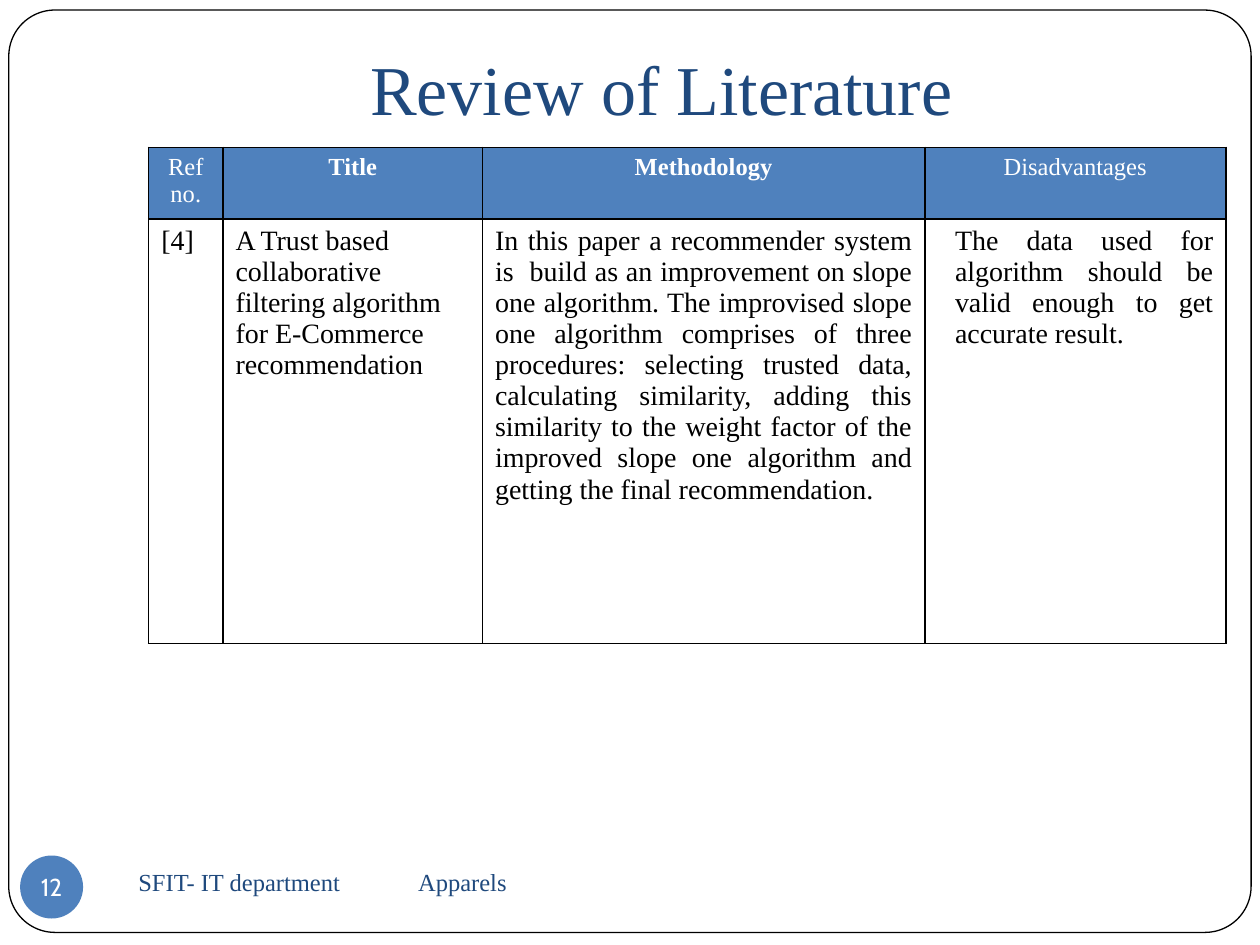
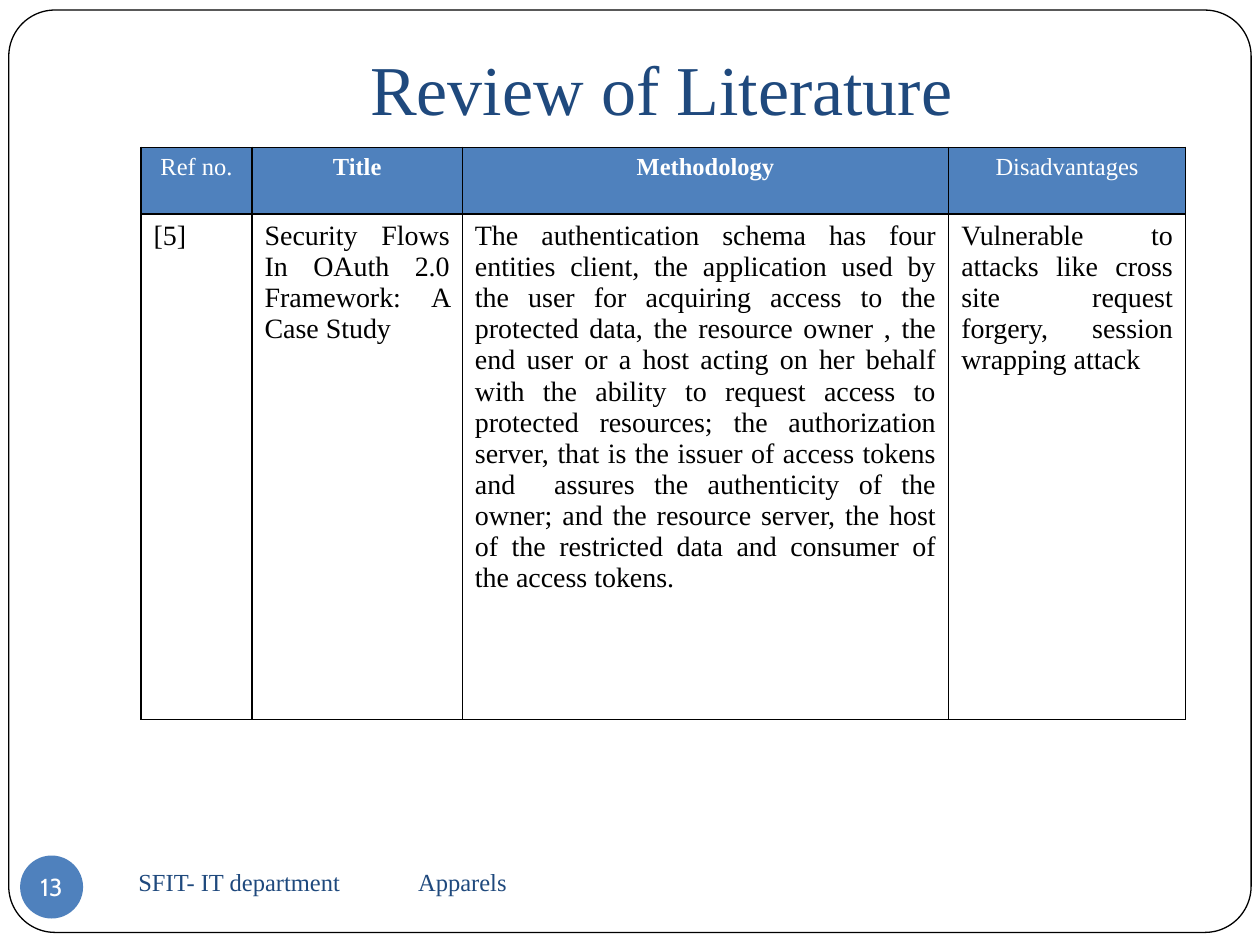
import pptx
import pptx.util
import pptx.dml.color
import pptx.enum.shapes
import pptx.enum.text
import pptx.oxml.ns
from lxml import etree

PX = 9144
NAVY, BLUE, BLACK, WHITE = "1F497D", "4F81BD", "000000", "FFFFFF"
SERIF = "Times New Roman"
ALIGN = pptx.enum.text.PP_ALIGN
ANCHOR = pptx.enum.text.MSO_ANCHOR
SHAPE = pptx.enum.shapes.MSO_SHAPE
qn = pptx.oxml.ns.qn


def rgb(value):
    return pptx.dml.color.RGBColor.from_string(value)


def write(tf, text, size, color, align=ALIGN.LEFT, font=SERIF, bold=False):
    tf.word_wrap = True
    p = tf.paragraphs[0]
    p.alignment = align
    r = p.add_run()
    r.text = text
    r.font.size = pptx.util.Pt(size)
    r.font.name = font
    r.font.bold = bold
    r.font.color.rgb = rgb(color)
    return p


headers = [("Ref no.", False), ("Title", True), ("Methodology", True), ("Disadvantages", False)]
reviews = [
    {
        "number": "12", "left": 118, "widths": [59, 206, 351, 239], "body_height": 337,
        "aligns": [ALIGN.LEFT, ALIGN.LEFT, ALIGN.JUSTIFY, ALIGN.JUSTIFY], "last_indent": 14,
        "texts": [
            "[4]",
            "A Trust based collaborative filtering algorithm for E-Commerce recommendation",
            "In this paper a recommender system is  build as an improvement on slope one "
            "algorithm. The improvised slope one algorithm comprises of three procedures: "
            "selecting trusted data, calculating similarity, adding this similarity to the "
            "weight factor of the improved slope one algorithm and getting the final "
            "recommendation.",
            "The data used for algorithm should be valid enough to get accurate result.",
        ],
    },
    {
        "number": "13", "left": 112, "widths": [88, 167, 386, 188], "body_height": 401,
        "aligns": [ALIGN.LEFT, ALIGN.JUSTIFY, ALIGN.JUSTIFY, ALIGN.JUSTIFY], "last_indent": 0,
        "texts": [
            "[5]",
            "Security Flows In OAuth 2.0 Framework: A Case Study",
            "The authentication schema has four entities client, the application used by the "
            "user for acquiring access to the protected data, the resource owner , the end user "
            "or a host acting on her behalf with the ability to request access to protected "
            "resources; the authorization server, that is the issuer of access tokens and  "
            "assures the authenticity of the owner; and the resource server, the host of the "
            "restricted data and consumer of the access tokens.",
            "Vulnerable to attacks like cross site request forgery, session wrapping attack",
        ],
    },
]

prs = pptx.Presentation()
prs.slide_width, prs.slide_height = 1000 * PX, 750 * PX

for review in reviews:
    s = prs.slides.add_slide(prs.slide_layouts[6])

    frame = s.shapes.add_shape(SHAPE.ROUNDED_RECTANGLE, 7 * PX, 8 * PX, 986 * PX, 732 * PX)
    frame.adjustments[0] = 0.05
    frame.shadow.inherit = False
    frame.fill.solid()
    frame.fill.fore_color.rgb = rgb(WHITE)
    frame.line.color.rgb = rgb(BLACK)
    frame.line.width = pptx.util.Pt(0.75)

    title = s.shapes.add_textbox(100 * PX, -18 * PX, 850 * PX, 131 * PX)
    tf = title.text_frame
    tf.vertical_anchor = ANCHOR.BOTTOM
    tf.margin_bottom = 10 * PX
    write(tf, "Review of Literature", 40, NAVY, ALIGN.CENTER)

    footer = s.shapes.add_textbox(100 * PX, 675 * PX, 433 * PX, 50 * PX)
    footer.text_frame.vertical_anchor = ANCHOR.MIDDLE
    p = write(footer.text_frame, "SFIT- IT department\tApparels", 14, NAVY)
    tabs = etree.SubElement(p._p.get_or_add_pPr(), qn("a:tabLst"))
    etree.SubElement(tabs, qn("a:tab"), pos=str(222 * PX), algn="l")

    badge = s.shapes.add_shape(SHAPE.OVAL, 16 * PX, 679 * PX, 50 * PX, 50 * PX)
    badge.shadow.inherit = False
    badge.fill.solid()
    badge.fill.fore_color.rgb = rgb(BLUE)
    badge.line.fill.background()
    tf = badge.text_frame
    tf.margin_left = tf.margin_right = tf.margin_top = tf.margin_bottom = 0
    tf.vertical_anchor = ANCHOR.MIDDLE
    write(tf, review["number"], 14, WHITE, ALIGN.CENTER, "Cabin")

    widths, heights = review["widths"], [53, review["body_height"]]
    table = s.shapes.add_table(2, 4, review["left"] * PX, 117 * PX,
                               sum(widths) * PX, sum(heights) * PX).table
    table.first_row = table.horz_banding = False
    for column, width in zip(table.columns, widths):
        column.width = width * PX
    for row, height in zip(table.rows, heights):
        row.height = height * PX

    for cell in table.iter_cells():
        tcPr = cell._tc.get_or_add_tcPr()
        for side in ("a:lnL", "a:lnR", "a:lnT", "a:lnB"):
            ln = etree.SubElement(tcPr, qn(side), w="12700")
            fill = etree.SubElement(ln, qn("a:solidFill"))
            etree.SubElement(fill, qn("a:srgbClr"), val=BLACK)

    for col, (header, bold) in enumerate(headers):
        cell = table.cell(0, col)
        cell.fill.solid()
        cell.fill.fore_color.rgb = rgb(BLUE)
        write(cell.text_frame, header, 14, WHITE, ALIGN.CENTER, bold=bold)

        cell = table.cell(1, col)
        cell.fill.background()
        p = write(cell.text_frame, review["texts"][col], 16, BLACK, review["aligns"][col])
    p._p.get_or_add_pPr().set("marL", str(review["last_indent"] * PX))

prs.save("out.pptx")
